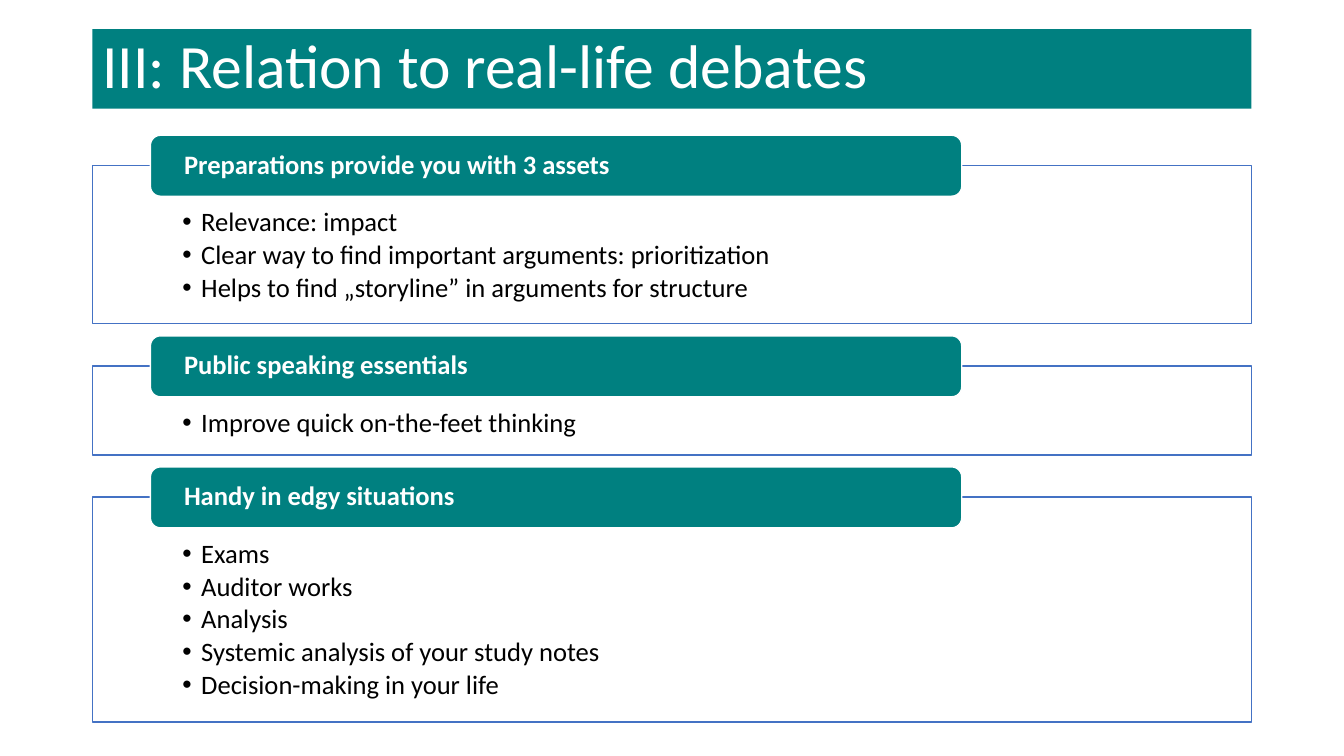
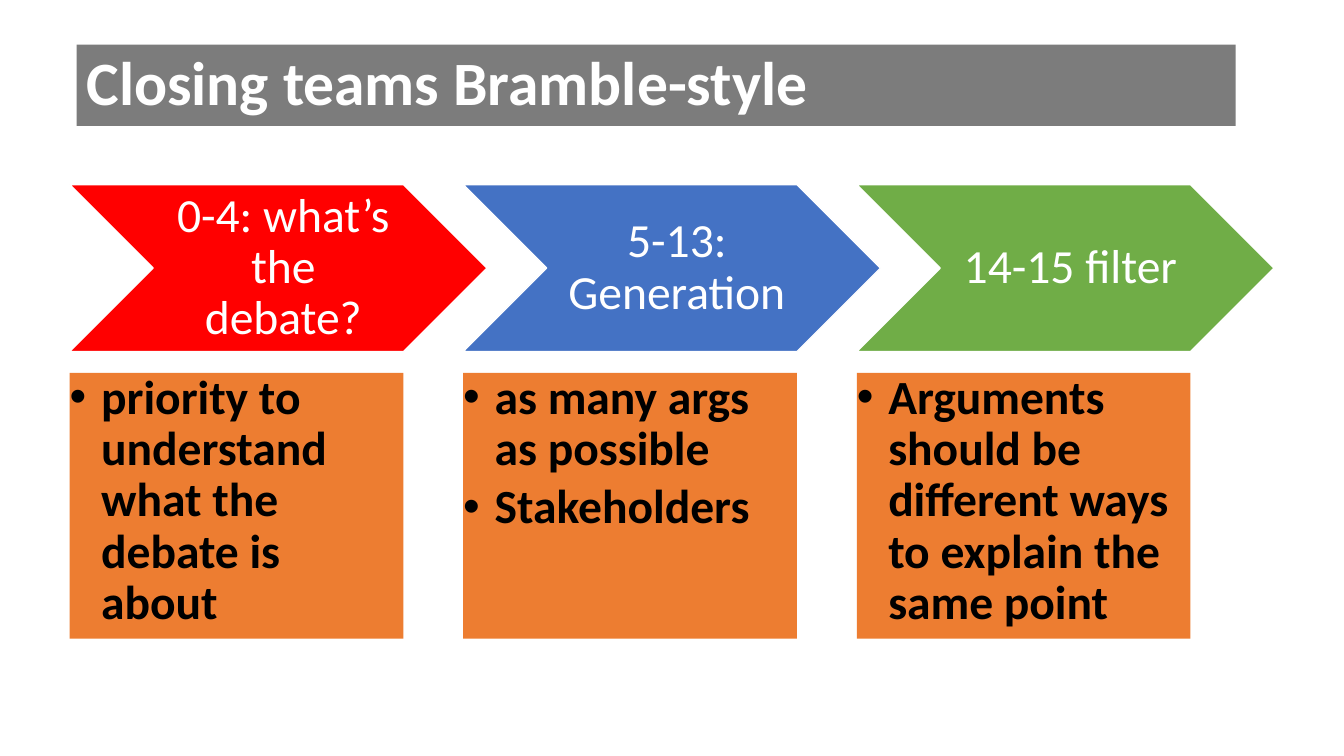
from lxml.etree import SubElement
from pptx import Presentation
from pptx.dml.color import RGBColor
from pptx.enum.shapes import MSO_SHAPE as Shape
from pptx.enum.text import MSO_ANCHOR as Anchor, PP_ALIGN as Align
from pptx.oxml.ns import qn
from pptx.util import Pt

# Shared look
FONT = "Calibri"
WHITE = RGBColor(0xFF, 0xFF, 0xFF)
BLACK = RGBColor(0x00, 0x00, 0x00)
TEAL = RGBColor(0x00, 0x80, 0x80)
GREY = RGBColor(0x7C, 0x7C, 0x7C)
RED = RGBColor(0xFF, 0x00, 0x00)
BLUE = RGBColor(0x44, 0x72, 0xC4)
GREEN = RGBColor(0x70, 0xAD, 0x47)
ORANGE = RGBColor(0xED, 0x7D, 0x31)
CONTENT_WIDTH = 828

# Slide 1: heading, bullets, panel height
DEBATE_TITLE = "III: Relation to real-life debates"
PANELS = [
    ("Preparations provide you with 3 assets",
     ["Relevance: impact",
      "Clear way to find important arguments: prioritization",
      "Helps to find „storyline” in arguments for structure"], 113.1),
    ("Public speaking essentials",
     ["Improve quick on-the-feet thinking"], 63.4),
    ("Handy in edgy situations",
     ["Exams", "Auditor works", "Analysis",
      "Systemic analysis of your study notes",
      "Decision-making in your life"], 160.6),
]
PANEL_LEFT, FIRST_PANEL_TOP, PANEL_GAP = 66, 118.2, 30.2
HEADING_INDENT, HEADING_RISE = 41.4, 21.6
HEADING_WIDTH, HEADING_HEIGHT = 579.6, 43.6

# Slide 2: step, colour, bullets
CLOSING_TITLE = "Closing teams Bramble-style"
STEPS = [
    ("0-4: what’s the debate?", RED,
     ["priority to understand what the debate is about"]),
    ("5-13: Generation", BLUE, ["as many args as possible", "Stakeholders"]),
    ("14-15 filter", GREEN,
     ["Arguments should be different ways to explain the same point"]),
]
STEP_LEFT, STEP_PITCH = 49.8, 281.1
CHEVRON_TOP, CHEVRON_WIDTH, CHEVRON_HEIGHT = 131.9, 298, 119.2
NOTE_TOP, NOTE_WIDTH, NOTE_HEIGHT = 266.4, 238.4, 189.8


def add_box(slide, kind, bounds, fill, line=None):
    shape = slide.shapes.add_shape(kind, *map(Pt, bounds))
    shape.shadow.inherit = False
    shape.fill.solid()
    shape.fill.fore_color.rgb = fill
    if line is None:
        shape.line.fill.background()
    else:
        shape.line.color.rgb = line
        shape.line.width = Pt(1)
    return shape


def add_bullet(paragraph, indent):
    properties = paragraph._p.get_or_add_pPr()
    properties.set("marL", str(Pt(indent)))
    properties.set("indent", str(-Pt(indent)))
    SubElement(properties, qn("a:buFont"), typeface="Arial")
    SubElement(properties, qn("a:buChar"), char="•")


def write(shape, lines, size, color, bold=False, insets=(7.2, 3.6, 7.2, 3.6),
          anchor=Anchor.MIDDLE, align=Align.LEFT, bullet_indent=None):
    frame = shape.text_frame
    left, top, right, bottom = map(Pt, insets)
    frame_format = {"word_wrap": True, "vertical_anchor": anchor,
                    "margin_left": left, "margin_top": top,
                    "margin_right": right, "margin_bottom": bottom}
    for name, value in frame_format.items():
        setattr(frame, name, value)
    for index, line in enumerate(lines):
        paragraph = frame.add_paragraph() if index else frame.paragraphs[0]
        paragraph.alignment = align
        paragraph.line_spacing = 0.9
        if index:
            paragraph.space_before = Pt(round(0.15 * size, 2))
        if bullet_indent:
            add_bullet(paragraph, bullet_indent)
        run = paragraph.add_run()
        run.text = line
        font_format = {"name": FONT, "size": Pt(size), "bold": bold}
        for name, value in font_format.items():
            setattr(run.font, name, value)
        run.font.color.rgb = color


def add_titled_slide(presentation, title, left, top, height, fill, bold=False):
    slide = presentation.slides.add_slide(presentation.slide_layouts[6])
    band = add_box(slide, Shape.RECTANGLE,
                   (left, top, CONTENT_WIDTH, height), fill)
    write(band, [title], 44, WHITE, bold)
    return slide


def build_debate_slide(presentation):
    slide = add_titled_slide(presentation, DEBATE_TITLE, 66, 20.8, 56.8, TEAL)
    top = FIRST_PANEL_TOP
    for heading, bullets, height in PANELS:
        panel = add_box(slide, Shape.RECTANGLE,
                        (PANEL_LEFT, top, CONTENT_WIDTH, height), WHITE, BLUE)
        write(panel, bullets, 19, BLACK, insets=(64.3, 31, 64.3, 10.8),
              anchor=Anchor.TOP, bullet_indent=13.5)
        tab = add_box(slide, Shape.ROUNDED_RECTANGLE,
                      (PANEL_LEFT + HEADING_INDENT, top - HEADING_RISE,
                       HEADING_WIDTH, HEADING_HEIGHT), TEAL, WHITE)
        write(tab, [heading], 19, WHITE, True, insets=(21.9, 0, 21.9, 0))
        top += height + PANEL_GAP


def build_closing_slide(presentation):
    slide = add_titled_slide(presentation, CLOSING_TITLE,
                             54.7, 31.8, 58.2, GREY, True)
    for index, (step, color, bullets) in enumerate(STEPS):
        left = STEP_LEFT + index * STEP_PITCH
        chevron = add_box(slide, Shape.CHEVRON,
                          (left, CHEVRON_TOP, CHEVRON_WIDTH, CHEVRON_HEIGHT),
                          color, WHITE)
        write(chevron, [step], 34, WHITE, insets=(10.8, 3.6, 3.6, 3.6),
              align=Align.CENTER)
        note = add_box(slide, Shape.RECTANGLE,
                       (left, NOTE_TOP, NOTE_WIDTH, NOTE_HEIGHT), ORANGE)
        write(note, bullets, 34, BLACK, True, insets=(0, 0, 0, 0),
              anchor=Anchor.TOP, bullet_indent=22.5)


def main():
    presentation = Presentation()
    presentation.slide_width, presentation.slide_height = Pt(960), Pt(540)
    build_debate_slide(presentation)
    build_closing_slide(presentation)
    presentation.save("out.pptx")


if __name__ == "__main__":
    main()
